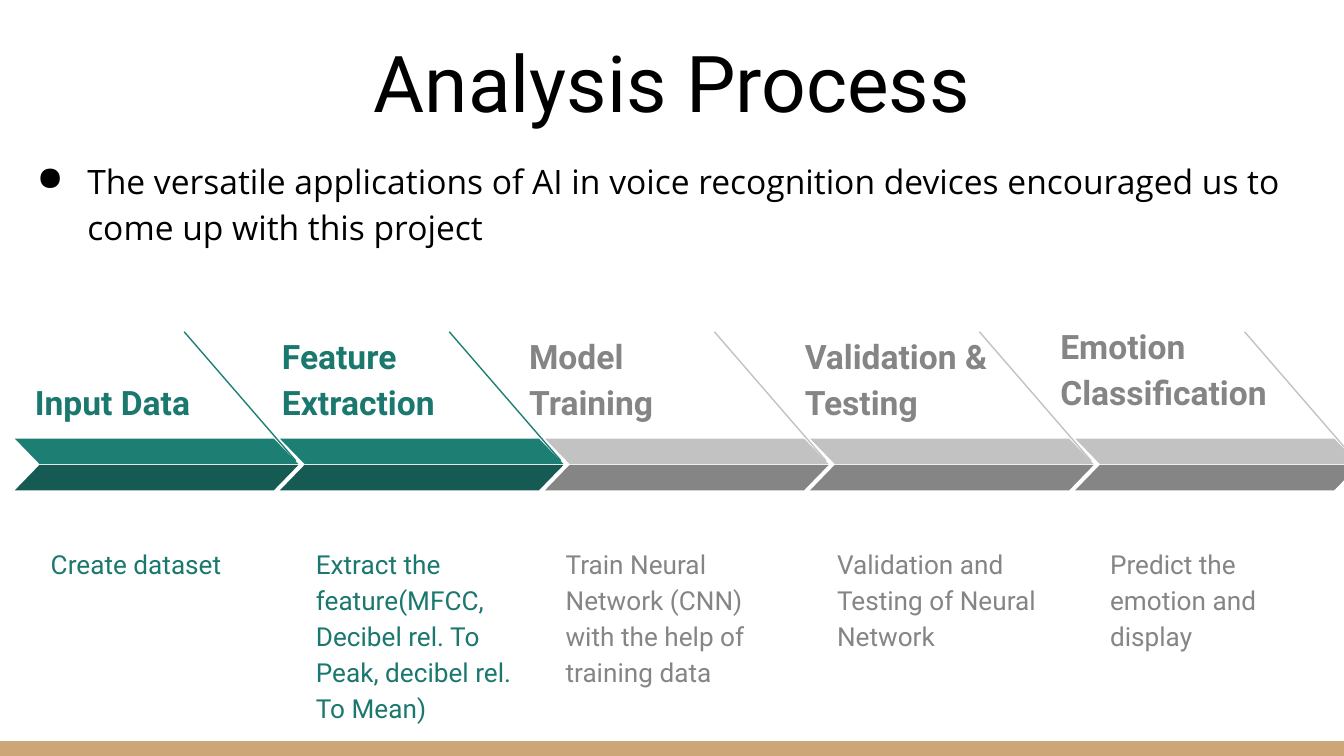
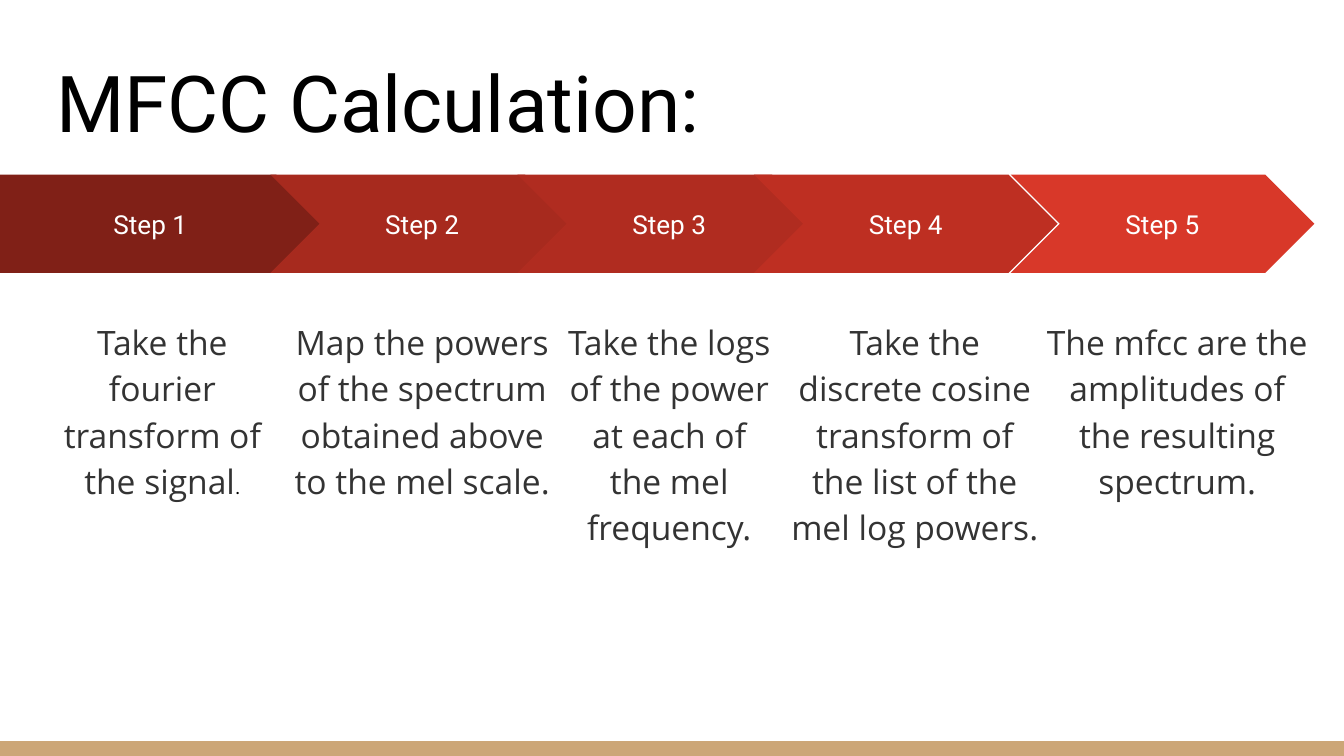
import pptx
import pptx.dml.color
import pptx.enum.shapes
import pptx.enum.text
import pptx.oxml
import pptx.oxml.ns
import pptx.util
from lxml import etree

Cm = pptx.util.Cm
Pt = pptx.util.Pt
RGB = pptx.dml.color.RGBColor
KIND = pptx.enum.shapes.MSO_SHAPE
LINE = pptx.enum.shapes.MSO_CONNECTOR.STRAIGHT
ANCHOR = pptx.enum.text.MSO_ANCHOR
ALIGN = pptx.enum.text.PP_ALIGN
qn = pptx.oxml.ns.qn

WHITE = RGB(0xFF, 0xFF, 0xFF)
BLACK = RGB(0x00, 0x00, 0x00)
TAN = RGB(0xCC, 0xA6, 0x77)
TEAL = RGB(0x1D, 0x7E, 0x74)
DEEP = RGB(0x15, 0x5B, 0x54)
INK = RGB(0x1B, 0x78, 0x6E)
PALE = RGB(0xC2, 0xC2, 0xC2)
GREY = RGB(0x85, 0x85, 0x85)
DARK = RGB(0x33, 0x33, 0x33)
REDS = [RGB(0x80, 0x20, 0x17), RGB(0xA7, 0x2A, 0x1E), RGB(0xB0, 0x2C, 0x20),
        RGB(0xBE, 0x2F, 0x22), RGB(0xD8, 0x38, 0x29)]

HEAD = "Roboto"
BODY = "Open Sans"
WIDE, HIGH = 25.4, 14.29
PAD = 0.25
SLANT = 0.97

# Light bar, dark bar, text colour
DONE = (TEAL, DEEP, INK)
NEXT = (PALE, GREY, GREY)

# Label, its offset, width and rise; note, its offset and width; palette
STAGES = [
    ("Input Data", -1.14, 4.93, 0, "Create dataset", 0.43, 4.93, DONE),
    ("Feature Extraction", -0.21, 4.39, 0,
     "Extract the feature(MFCC, Decibel rel. To Peak, decibel rel. To Mean)",
     0.43, 4.52, DONE),
    ("Model Training", -0.55, 4.39, 0,
     "Train Neural Network (CNN) with the help of training data",
     0.14, 4.52, NEXT),
    ("Validation & Testing", -0.35, 4.39, 0,
     "Validation and Testing of Neural Network", 0.26, 4.52, NEXT),
    ("Emotion Classification", -0.53, 4.95, 0.2,
     "Predict the emotion and display", 0.41, 4.52, NEXT),
]

# Arrow left and width; text, its offset and width
STEPS = [
    (0, 6.15, "Take the fourier transform of the signal", 0.81, 4.52),
    (5.11, 5.74,
     "Map the powers of the spectrum obtained above to the mel scale.",
     0, 5.74),
    (9.78, 5.74, "Take the logs of the power at each of the mel frequency.",
     0.61, 4.52),
    (14.25, 5.74,
     "Take the discrete cosine transform of the list of the mel log powers.",
     0.36, 5.36),
    (19.1, 5.74, "The mfcc are the amplitudes of the resulting spectrum.",
     0.43, 5.44),
]


def style(para, font, size, color, bold=False, align=ALIGN.LEFT):
    para.alignment = align
    para.font.name = font
    para.font.size = Pt(size)
    para.font.color.rgb = color
    para.font.bold = bold


def frame(shape, anchor):
    """Set wrapping, margins and anchor of a shape's text."""
    tf = shape.text_frame
    tf.word_wrap = True
    tf.margin_left = tf.margin_right = Cm(PAD)
    tf.margin_top = tf.margin_bottom = Cm(PAD)
    tf.vertical_anchor = anchor
    return tf.paragraphs[0]


def write(shapes, box, text, font, size, color, anchor=ANCHOR.TOP,
          space=1.15, **more):
    shape = shapes.add_textbox(*map(Cm, box))
    para = frame(shape, anchor)
    para.text = text
    para.line_spacing = space
    style(para, font, size, color, **more)
    return para


def indent(para, left, first):
    props = para._p.get_or_add_pPr()
    props.set("marL", str(Cm(left)))
    props.set("indent", str(Cm(first)))
    return props


def bullet(para):
    props = indent(para, 1.27, -0.95)
    mark = etree.Element(qn("a:buChar"), char="●")
    props.find(qn("a:defRPr")).addprevious(mark)


def solid(shapes, kind, box, color):
    shape = shapes.add_shape(kind, *map(Cm, box))
    shape.shadow.inherit = False
    shape.fill.solid()
    shape.fill.fore_color.rgb = color
    shape.line.fill.background()
    return shape


def stroke(shapes, ends, color):
    line = shapes.add_connector(LINE, *map(Cm, ends))
    line.line.color.rgb = color
    line.line.width = Pt(0.75)
    etree.SubElement(line._element.spPr, qn("a:effectLst"))


def base(deck):
    """Add a blank slide with the tan foot band."""
    slide = deck.slides.add_slide(deck.slide_layouts[6])
    band = 0.28
    solid(slide.shapes, KIND.RECTANGLE, (0, HIGH - band, WIDE, band), TAN)
    return slide


def title(slide, x, y, text, align):
    write(slide.shapes, (x, y, 23.67, 2.31), text, HEAD, 42, BLACK,
          anchor=ANCHOR.BOTTOM, space=1.0, align=align)


def stage(slide, x, y, data):
    """Draw one process column whose slanted rule starts at height y."""
    label, dx, wide, rise, note, shift, span, tones = data
    light, deep, ink = tones
    shapes = slide.shapes.add_group_shape().shapes
    para = write(shapes, (x + dx, y + 0.5 - rise, wide, 1.47), label, HEAD,
                 18, ink, anchor=ANCHOR.BOTTOM, bold=True)
    write(shapes, (x + shift, y + 3.76, span, 2.43), note, HEAD, 14, ink)
    stroke(shapes, (x + 3.2, y, x + 5.31, y + 2.44), light)
    for top, tone in ((2.02, light), (2.52, deep)):
        bar = solid(shapes, KIND.PARALLELOGRAM, (x, y + top, 5.36, 0.48), tone)
        bar.adjustments[0] = SLANT
        if tone == light:
            bar._element.spPr.find(qn("a:xfrm")).set("flipH", "1")
    return para


def process(deck):
    slide = base(deck)
    paras = [stage(slide, 0.28 + 5.01 * i, 6.27, data)
             for i, data in enumerate(STAGES)]
    indent(paras[0], 0, 1.27)
    title(slide, 0.86, 0.36, "Analysis Process", ALIGN.CENTER)
    bullet(write(slide.shapes, (0.13, 2.67, 25.15, 2.31),
                 "The versatile applications of AI in voice recognition "
                 "devices encouraged us to come up with this project",
                 BODY, 18, BLACK))


def step(slide, y, num, data):
    """Draw one arrow with its text below."""
    x, wide, text, dx, span = data
    shapes = slide.shapes.add_group_shape().shapes
    kind = KIND.PENTAGON if num == 1 else KIND.CHEVRON
    arrow = solid(shapes, kind, (x, y, wide, 1.86), REDS[num - 1])
    para = frame(arrow, ANCHOR.MIDDLE)
    para.text = f"Step {num}"
    style(para, HEAD, 14, WHITE, align=ALIGN.CENTER)
    return write(shapes, (x + dx, y + 2.42, span, 6.53), text, BODY, 18, DARK,
                 align=ALIGN.CENTER)


def mfcc(deck):
    slide = base(deck)
    paras = [step(slide, 3.3, num, data)
             for num, data in enumerate(STEPS, 1)]
    dot = paras[0].add_run()
    dot.text = "."
    dot.font.name = HEAD
    dot.font.size = Pt(11)
    dot.font.color.rgb = BLACK
    title(slide, 0.81, 0.74, "MFCC Calculation:", ALIGN.LEFT)


def main():
    deck = pptx.Presentation()
    deck.slide_width = Cm(WIDE)
    deck.slide_height = Cm(HIGH)
    process(deck)
    mfcc(deck)
    deck.save("out.pptx")


if __name__ == "__main__":
    main()
